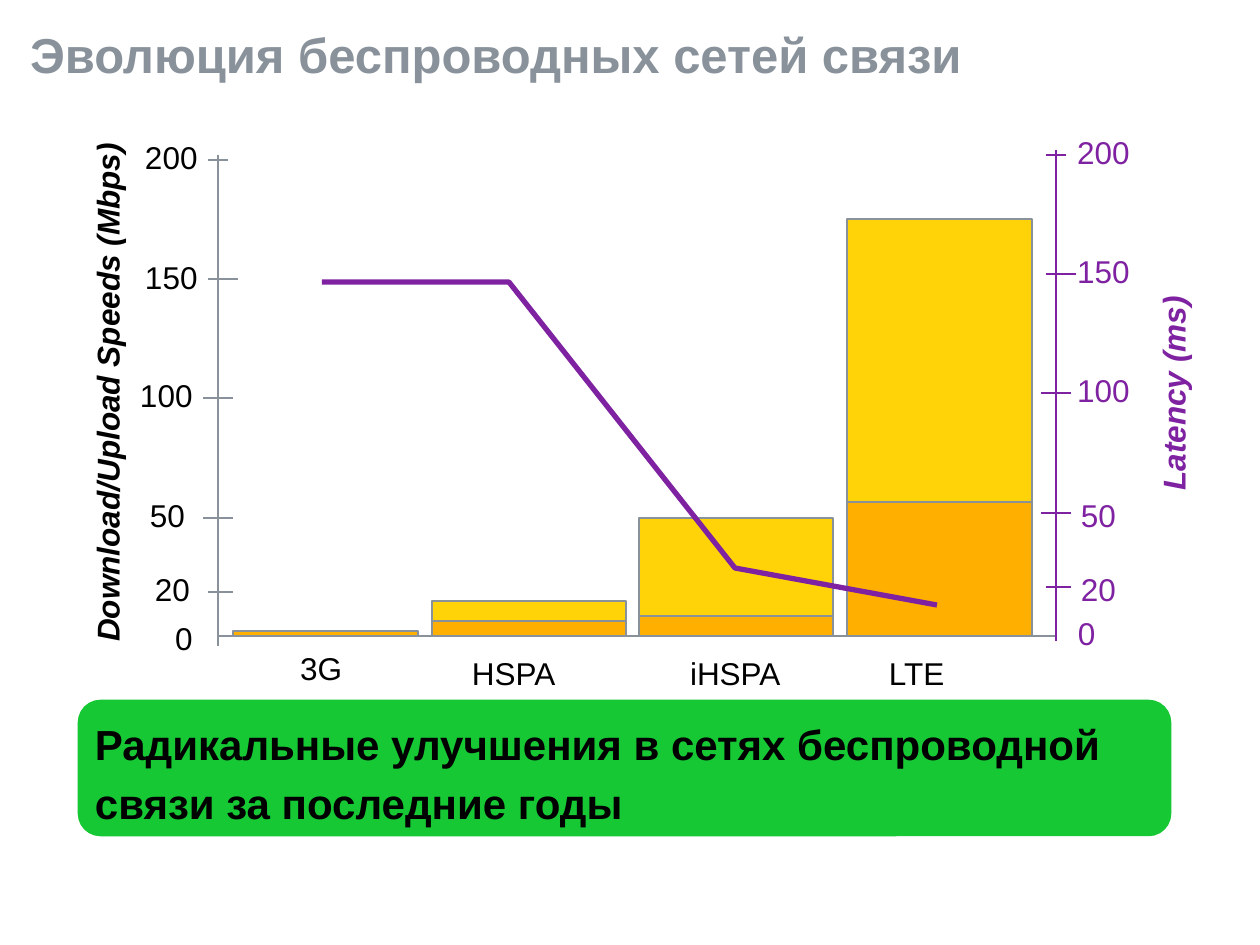
from dataclasses import dataclass

from pptx import Presentation
from pptx.dml.color import RGBColor
from pptx.enum.shapes import MSO_CONNECTOR as Connector, MSO_SHAPE as Shape
from pptx.enum.text import MSO_ANCHOR as Anchor, MSO_AUTO_SIZE as AutoSize, PP_ALIGN as Align
from pptx.oxml.ns import qn
from pptx.util import Pt
from lxml.etree import SubElement


@dataclass(frozen=True)
class Theme:
    font: str = "Arial"
    gray: str = "89929B"
    purple: str = "7F22A2"
    black: str = "000000"
    yellow: str = "FFD308"
    orange: str = "FFAF00"
    green: str = "16C834"
    title_size: int = 28
    caption_size: int = 24
    label_size: int = 18
    thin: float = 1.5
    thick: float = 3


# Content, all lengths in px
TITLE = "Эволюция беспроводных сетей связи"
CAPTION = ["Радикальные улучшения в сетях беспроводной", "связи за последние годы"]
BASELINE = 636
AXIS_X, AXIS_TOP, AXIS_END = 218, 155, 646
RIGHT_SHIFT = (838, -5)  # the latency axis repeats the speed axis, moved
TICKS = [(160, 208, 228), (279, 208, 238), (398, 203, 233), (518, 203, 233), (592, 208, 233)]
# value, width, left and top on the speed axis, left and top on the latency axis
SCALE_LABELS = [
    ("200", 67, (139, 135), (1071, 130)),
    ("150", 67, (139, 255), (1071, 249)),
    ("100", 67, (134, 373), (1071, 368)),
    ("50", 49, (144, 493), (1075, 493)),
    ("20", 49, (149, 567), (1075, 567)),
    ("0", 33, (169, 616), (1072, 611)),
]
# left, width, top, bottom
DOWNLOAD_BARS = [(432, 194, 601, BASELINE), (639, 194, 518, BASELINE), (847, 185, 219, 502)]
UPLOAD_BARS = [(233, 185, 631, BASELINE), (432, 194, 621, BASELINE),
               (639, 194, 616, BASELINE), (847, 185, 502, BASELINE)]
LATENCY = [(322, 282), (509, 282), (735, 568), (937, 605)]
NETWORKS = [("3G", 294, 646, 57), ("HSPA", 466, 651, 98),
            ("iHSPA", 684, 651, 105), ("LTE", 883, 651, 71)]
LABEL_HEIGHT = 49

theme = Theme()
EMU_PER_PX = 914400 / 126


def px(*lengths):
    return [round(length * EMU_PER_PX) for length in lengths]


def color(code):
    return RGBColor.from_string(code)


def write(box, lines, size=theme.label_size, ink=theme.black, bold=False, italic=False,
          align=Align.LEFT, anchor=Anchor.MIDDLE, inset=6, wrap=False, gap=0):
    frame = box.text_frame
    frame.word_wrap = wrap
    frame.auto_size = AutoSize.NONE
    frame.vertical_anchor = anchor
    frame.margin_left = frame.margin_top = frame.margin_right = frame.margin_bottom = px(inset)[0]
    for index, line in enumerate(lines):
        para = frame.paragraphs[0] if index == 0 else frame.add_paragraph()
        para.alignment = align
        para.line_spacing = 0.9
        para.space_before = Pt(gap if index else 0)
        span = para.add_run()
        span.text = line
        font = span.font
        font.name, font.size, font.bold, font.italic = theme.font, Pt(size), bold, italic
        font.color.rgb = color(ink)


def add_label(page, text, left, top, width, rotation=0, **style):
    box = page.shapes.add_textbox(*px(left, top, width, LABEL_HEIGHT))
    box.rotation = rotation
    write(box, [text], **style)


def add_line(page, x1, y1, x2, y2, ink):
    line = page.shapes.add_connector(Connector.STRAIGHT, *px(x1, y1, x2, y2))
    line.line.color.rgb = color(ink)
    line.line.width = Pt(theme.thin)
    SubElement(line._element.spPr, qn("a:effectLst"))


def add_block(page, kind, left, top, width, height, fill, outline):
    block = page.shapes.add_shape(kind, *px(left, top, width, height))
    block.shadow.inherit = False
    block.fill.solid()
    block.fill.fore_color.rgb = color(fill)
    block.line.color.rgb = color(outline)
    block.line.width = Pt(theme.thin)
    return block


def add_axis(page, ink, shift=(0, 0)):
    dx, dy = shift
    add_line(page, AXIS_X + dx, AXIS_TOP + dy, AXIS_X + dx, AXIS_END + dy, ink)
    for y, start, end in TICKS:
        add_line(page, start + dx, y + dy, end + dx, y + dy, ink)


def main():
    deck = Presentation()
    deck.slide_width, deck.slide_height = px(1260, 945)
    page = deck.slides.add_slide(deck.slide_layouts[5])

    # Title
    title = page.shapes.title
    title.left, title.top, title.width, title.height = px(30, 31, 1189, 113)
    write(title, [TITLE], size=theme.title_size, ink=theme.gray, bold=True,
          anchor=Anchor.TOP, inset=0, wrap=True)

    # Caption
    panel = add_block(page, Shape.ROUNDED_RECTANGLE, 79, 701, 1091, 134, theme.green, theme.green)
    panel.adjustments[0] = 0.16
    caption = page.shapes.add_textbox(*px(89, 716, 1137, 121))
    write(caption, CAPTION, size=theme.caption_size, bold=True, wrap=True, gap=8)

    # Speed axis and bars
    add_axis(page, theme.gray)
    add_line(page, AXIS_X, BASELINE, AXIS_X + RIGHT_SHIFT[0], BASELINE, theme.gray)
    for bars, fill in ((DOWNLOAD_BARS, theme.yellow), (UPLOAD_BARS, theme.orange)):
        for left, width, top, bottom in bars:
            add_block(page, Shape.RECTANGLE, left, top, width, bottom - top, fill, theme.gray)

    # Latency line and axis
    builder = page.shapes.build_freeform(*LATENCY[0], scale=EMU_PER_PX)
    builder.add_line_segments(LATENCY[1:], close=False)
    curve = builder.convert_to_shape()
    curve.shadow.inherit = False
    curve.fill.background()
    curve.line.color.rgb = color(theme.purple)
    curve.line.width = Pt(theme.thick)
    add_axis(page, theme.purple, RIGHT_SHIFT)

    # Labels
    for value, width, speed_at, latency_at in SCALE_LABELS:
        add_label(page, value, *speed_at, width)
        add_label(page, value, *latency_at, width, ink=theme.purple)
    for name, left, top, width in NETWORKS:
        add_label(page, name, left, top, width)
    heading = dict(rotation=270, bold=True, italic=True, align=Align.CENTER)
    add_label(page, "Latency (ms)", 1071, 369, 209, ink=theme.purple, **heading)
    add_label(page, "Download/Upload Speeds (Mbps)", -147, 368, 513, **heading)

    deck.save("out.pptx")


if __name__ == "__main__":
    main()
